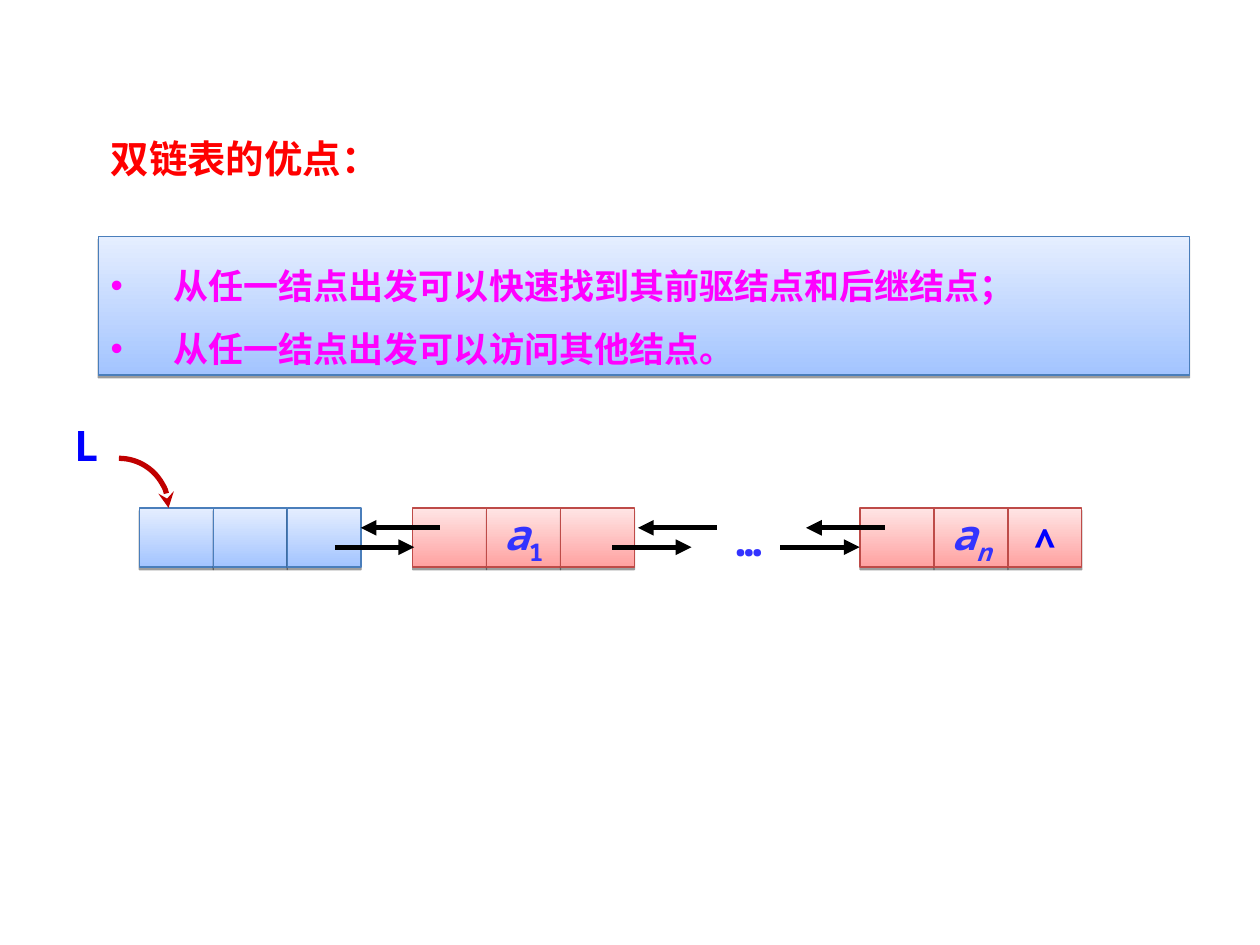
"""Builds a slide on the advantages of doubly linked lists."""
from lxml import etree
from pptx import Presentation
from pptx import util as u
from pptx.dml import color
from pptx.enum import shapes, text
from pptx.oxml import ns

Cm = u.Cm
LEFT, CENTER = text.PP_ALIGN.LEFT, text.PP_ALIGN.CENTER
TOP, MIDDLE = text.MSO_ANCHOR.TOP, text.MSO_ANCHOR.MIDDLE


def rgb(value):
    return color.RGBColor.from_string(value)


def add(parent, tag, **attrs):
    return etree.SubElement(parent, ns.qn("a:" + tag), attrs)


class Deck:
    FONT = "Noto Sans Mono"
    BLUE = ("A3C4FF", "E5EEFF", "4A7EBB")
    RED = ("FFA2A1", "FFE5E5", "BE4B48")

    def __init__(self, prs):
        self.s = prs.slides.add_slide(prs.slide_layouts[5])

    def frame(self, sp, anchor=TOP, wrap=True, fit=True):
        tf = sp.text_frame
        tf.word_wrap = wrap
        tf.vertical_anchor = anchor
        tf.auto_size = (text.MSO_AUTO_SIZE.SHAPE_TO_FIT_TEXT if fit
                        else text.MSO_AUTO_SIZE.NONE)
        tf.margin_left = tf.margin_right = Cm(0.25)
        tf.margin_top = tf.margin_bottom = Cm(0.13)
        return tf

    def style(self, p, size, hue, align=LEFT):
        p.alignment = align
        f = p.font
        f.size, f.bold, f.name = u.Pt(size), True, self.FONT
        f.color.rgb = rgb(hue)
        add(p._p.pPr.find(ns.qn("a:defRPr")), "ea", typeface=self.FONT)

    def title(self, words, x, y, w, h):
        sp = self.s.shapes.title
        sp.left, sp.top, sp.width, sp.height = Cm(x), Cm(y), Cm(w), Cm(h)
        p = self.frame(sp).paragraphs[0]
        p.add_run().text = words
        self.style(p, 22, "FF0000")

    def label(self, words, x, y, w, hue, align=LEFT):
        sp = self.s.shapes.add_textbox(Cm(x), Cm(y), Cm(w), Cm(1.27))
        p = self.frame(sp).paragraphs[0]
        p.add_run().text = words
        self.style(p, 24, hue, align)

    def box(self, x, y, w, h, theme):
        sp = self.s.shapes.add_shape(shapes.MSO_SHAPE.RECTANGLE, Cm(x), Cm(y), Cm(w), Cm(h))
        sp.fill.gradient()
        sp.fill.gradient_angle = 90
        for stop, hue in zip(sp.fill.gradient_stops, theme):
            stop.color.rgb = rgb(hue)
        sp.line.color.rgb = rgb(theme[2])
        sp.line.width = u.Pt(0.75)
        sp.shadow.inherit = False
        effects = sp._element.spPr.find(ns.qn("a:effectLst"))
        shadow = add(effects, "outerShdw", blurRad="0", dist="20000", dir="5400000",
                     rotWithShape="0")
        add(add(shadow, "srgbClr", val="000000"), "alpha", val="38000")
        return sp

    def bullets(self, items, x, y, w, h, hue):
        tf = self.frame(self.box(x, y, w, h, self.BLUE))
        for i, item in enumerate(items):
            p = tf.add_paragraph() if i else tf.paragraphs[0]
            p.add_run().text = item
            p.line_spacing = 1.5
            pPr = p._p.get_or_add_pPr()
            pPr.set("marL", str(Cm(1.27)))
            pPr.set("indent", str(-Cm(1.27)))
            add(add(pPr, "buClr"), "srgbClr", val=hue)
            add(pPr, "buFont", typeface="Arial")
            add(pPr, "buChar", char="•")
            self.style(p, 20, hue)

    def cell(self, x, y, theme, runs, size, hue):
        tf = self.frame(self.box(x, y, 1.49, 1.19, theme), MIDDLE, False, False)
        p = tf.paragraphs[0]
        for words, italic, base in runs:
            r = p.add_run()
            r.text, r.font.italic = words, italic
            if base:
                r._r.get_or_add_rPr().set("baseline", str(base))
        self.style(p, size, hue, CENTER)

    def node(self, x, y, theme, index=None, italic=False, last=False):
        for i in range(3):
            runs, size, hue = [], 24, "3333FF"
            if i == 1 and index:
                runs = [("a", True, 0), (index, italic, -25000)]
            elif i == 2 and last:
                runs, size, hue = [("∧", False, 0)], 20, "0000FF"
            self.cell(x + i * 1.49, y, theme, runs, size, hue)

    def stroke(self, sp, hue, end, kind):
        sp.line.color.rgb = rgb(hue)
        sp.line.width = u.Pt(3)
        add(sp.line._get_or_add_ln(), end, type=kind)

    def arrow(self, x, y, end):
        sp = self.s.shapes.add_connector(
            shapes.MSO_CONNECTOR.STRAIGHT, Cm(x), Cm(y), Cm(x + 1.6), Cm(y))
        self.stroke(sp, "000000", end, "triangle")
        add(sp._element.spPr, "effectLst")

    def pointer(self, x, y, size):
        sp = self.s.shapes.add_shape(shapes.MSO_SHAPE.ARC, Cm(x), Cm(y), Cm(size), Cm(size))
        sp.fill.background()
        sp.shadow.inherit = False
        self.stroke(sp, "C00000", "tailEnd", "stealth")


def main():
    prs = Presentation()
    prs.slide_width, prs.slide_height = Cm(25.4), Cm(19.05)
    d = Deck(prs)
    d.title("双链表的优点：", 1.98, 2.59, 13.79, 1.2)
    d.bullets(["从任一结点出发可以快速找到其前驱结点和后继结点；",
               "从任一结点出发可以访问其他结点。"], 1.98, 4.77, 22, 2.79, "FF00FF")
    row = 10.24
    d.node(2.81, row, d.BLUE)
    d.node(8.32, row, d.RED, "1")
    d.node(17.34, row, d.RED, "n", italic=True, last=True)
    d.label("…", 14.3, row, 1.6, "3333FF", CENTER)
    d.pointer(1.4, 9.24, 2)
    for x in (6.75, 12.34, 15.73):
        d.arrow(x, row + 0.79, "tailEnd")
        d.arrow(x + 0.52, row + 0.4, "headEnd")
    d.label("L", 1.25, 8.33, 1.2, "0000FF")
    prs.save("out.pptx")


if __name__ == "__main__":
    main()
